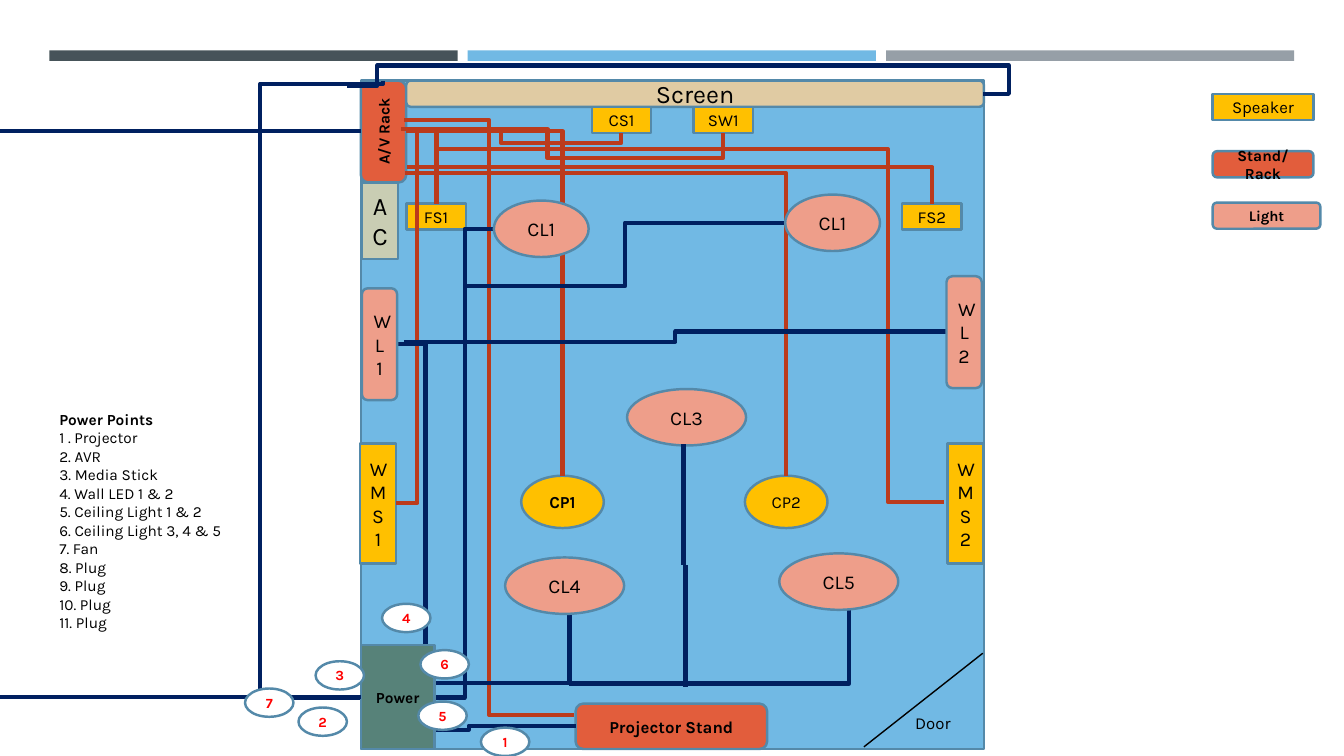
from lxml import etree
from pptx import Presentation
from pptx.dml.color import RGBColor
from pptx.enum.shapes import MSO_CONNECTOR as LINK, MSO_SHAPE as SHAPE
from pptx.enum.text import MSO_ANCHOR as ANCHOR, PP_ALIGN as ALIGN
from pptx.oxml.ns import qn
from pptx.util import Pt

FONT = "Karla"
COLORS = {
    "slate": "465359", "blue": "71B9E4", "gray": "969FA7", "edge": "5489A9",
    "stand": "E25D3C", "speaker": "FFC000", "light": "EE9E8A",
    "screen": "E0CBA3", "cooler": "C9CDB3", "power": "578279",
    "signal": "BB3B1C", "mains": "002060",
    "black": "000000", "white": "FFFFFF", "red": "FF0000",
}
POWER_POINTS = [
    "1 . Projector", "2. AVR", "3. Media Stick", "4. Wall LED 1 & 2",
    "5. Ceiling Light 1 & 2", "6. Ceiling Light 3, 4 & 5", "7. Fan",
    "8. Plug", "9. Plug", "10. Plug", "11. Plug",
]
SPEAKER_SIZE = (42.5, 18.7)
WALL_SPEAKER_SIZE = (25.9, 85.7)
CEILING_SPEAKER_SIZE = (59, 37.4)
SMALL_LIGHT_SIZE = (67.7, 40.3)
LARGE_LIGHT_SIZE = (85, 40.3)
WALL_LIGHT_SIZE = (25.2, 79.9)
BADGE_SIZE = (34.6, 20.2)

SPEAKERS = [
    ("FS1", SHAPE.RECTANGLE, (32.4, 87.8), SPEAKER_SIZE, 12, False),
    ("FS2", SHAPE.RECTANGLE, (386.6, 87.8), SPEAKER_SIZE, 12, False),
    ("WMS1", SHAPE.RECTANGLE, (-0.7, 259.2), WALL_SPEAKER_SIZE, 14, False),
    ("CP1", SHAPE.OVAL, (114.5, 282.2), CEILING_SPEAKER_SIZE, 12, True),
    ("CP2", SHAPE.OVAL, (274.3, 282.2), CEILING_SPEAKER_SIZE, 12, False),
    ("WMS2", SHAPE.RECTANGLE, (419, 259.2), WALL_SPEAKER_SIZE, 14, False),
    ("SW1", SHAPE.RECTANGLE, (237.6, 18.7), SPEAKER_SIZE, 12, False),
    ("CS1", SHAPE.RECTANGLE, (164.9, 18.7), SPEAKER_SIZE, 12, False),
]
LIGHTS = [
    ("CL1", SHAPE.OVAL, (95, 85.7), SMALL_LIGHT_SIZE),
    ("WL1", SHAPE.ROUNDED_RECTANGLE, (0.7, 148.3), WALL_LIGHT_SIZE),
    ("WL2", SHAPE.ROUNDED_RECTANGLE, (418.3, 139.7), WALL_LIGHT_SIZE),
    ("CL4", SHAPE.OVAL, (103, 340.6), LARGE_LIGHT_SIZE),
    ("CL5", SHAPE.OVAL, (298.8, 337.7), LARGE_LIGHT_SIZE),
    ("CL1", SHAPE.OVAL, (303.1, 81.4), SMALL_LIGHT_SIZE),
    ("CL3", SHAPE.OVAL, (190.1, 220.3), LARGE_LIGHT_SIZE),
]
BADGES = [(85.7, 462.2), (-44.6, 447.8), (-32.4, 414.7), (15.1, 373.7),
          (41, 443.5), (42.5, 406.8), (-82.8, 434.2)]

SIGNAL_WIRES = [
    ((31, 28.1), [91.4], (151.9, 452.9)),
    ((35.3, 34.6), [100.1, 44.6], (185.8, 37.4)),
    ((28.8, 34.6), [133.2, 55.4], (258.5, 37.4)),
    ((32.4, 36), [], (54, 87.8)),
    ((33.1, 61.9), [], (408.2, 87.8)),
    ((32.4, 36), [], (144, 282.2)),
    ((31.7, 66.2), [], (303.8, 282.2)),
    ((25.2, 301.7), [], (40.3, 37.4)),
    ((52.6, 49), [376.6], (416.2, 301)),
]
MAINS_WIRES = [
    ((0, 463.7), [77], (153.4, 460.8)),
    ((25.9, 187.9), [], (46.1, 404.6)),
    ((31, 186.5), [224.6], (418.3, 179.3)),
    ((53.3, 430.6), [], (149, 370.1)),
    ((148.3, 430.6), [], (348.8, 367.2)),
    ((52.6, 440.6), [74.2], (95, 105.8)),
    ((73.4, 146.9), [188.6], (303.1, 101.5)),
    ((0, 440.6), [-72, 2.2], (15.8, 0)),
    ((-10.1, 3.6), [11.5, -10.8, 463], (444.2, 9.4)),
]


def rgb(name):
    return RGBColor.from_string(COLORS[name])


def add_text(para, text, size, color="black", bold=False):
    run = para.add_run()
    run.text = text
    run.font.name = FONT
    run.font.size = Pt(size)
    run.font.bold = bold
    run.font.color.rgb = rgb(color)


def add_block(page, kind, box, fill, text="", size=12, bold=False, color="black", edge="edge"):
    block = page.shapes.add_shape(kind, *[Pt(value) for value in box])
    block.shadow.inherit = False
    block.fill.solid()
    block.fill.fore_color.rgb = rgb(fill)
    if edge:
        block.line.color.rgb = rgb(edge)
        block.line.width = Pt(1.75)
    else:
        block.line.fill.background()
    if text:
        block.text_frame.vertical_anchor = ANCHOR.MIDDLE
        para = block.text_frame.paragraphs[0]
        para.alignment = ALIGN.CENTER
        add_text(para, text, size, color, bold)
    return block


def add_note(page, box, lines, size, heading=False):
    frame = page.shapes.add_textbox(*[Pt(value) for value in box]).text_frame
    frame.word_wrap = True
    for index, line in enumerate(lines):
        para = frame.add_paragraph() if index else frame.paragraphs[0]
        add_text(para, line, size, bold=heading and index == 0)


def add_line(page, kind, start, end, color, width):
    line = page.shapes.add_connector(kind, *[Pt(value) for value in (*start, *end)])
    line.line.color.rgb = rgb(color)
    line.line.width = Pt(width)
    etree.SubElement(line._element.spPr, qn("a:effectLst"))
    return line


def add_wire(page, origin, start, turns, end, color):
    first, last = [(origin[0] + x, origin[1] + y) for x, y in (start, end)]
    wire = add_line(page, LINK.ELBOW, first, last, color, 3)
    geometry = wire._element.spPr.find(qn("a:prstGeom"))
    geometry.set("prst", f"bentConnector{len(turns) + 2}")
    guides = geometry.get_or_add_avLst()
    for index, turn in enumerate(turns):
        axis = index % 2
        share = (turn - start[axis]) / (end[axis] - start[axis])
        guide = etree.SubElement(guides, qn("a:gd"))
        guide.set("name", f"adj{index + 1}")
        guide.set("fmla", f"val {round(share * 100000)}")


def draw_header(page, box):
    left, top, width, height = box
    gap = 7.2
    bar = (width - 2 * gap) / 3
    for index, fill in enumerate(("slate", "blue", "gray")):
        place = (left + index * (bar + gap), top, bar, height)
        add_block(page, SHAPE.RECTANGLE, place, fill, edge=None)


def draw_room(page, box):
    left, top = box[:2]

    def at(x, y):
        return left + x, top + y

    add_block(page, SHAPE.RECTANGLE, box, "blue")
    rack = add_block(page, SHAPE.ROUNDED_RECTANGLE, (*at(-20.2, 20.2), 72.7, 32.4),
                     "stand", "A/V Rack", 11, True)
    rack.rotation = 270
    add_block(page, SHAPE.ROUNDED_RECTANGLE, (*at(153.4, 445), 136.8, 32.4),
              "stand", "Projector Stand", 12, True)
    add_block(page, SHAPE.ROUNDED_RECTANGLE, (*at(32.4, 0), 412.6, 18.7), "screen", "Screen", 18)
    add_line(page, LINK.STRAIGHT, at(359.3, 475.9), at(444.2, 409), "black", 1)
    add_note(page, (*at(388.8, 447.8), 55.4, 21.6), ["Door"], 12)
    for name, kind, place, extent, size, bold in SPEAKERS:
        add_block(page, kind, (*at(*place), *extent), "speaker", name, size, bold)
    add_block(page, SHAPE.RECTANGLE, (*at(0.7, 72.7), 25.9, 54.7), "cooler", "AC", 18)

    for color, wires in (("signal", SIGNAL_WIRES), ("mains", MAINS_WIRES)):
        for start, turns, end in wires:
            add_wire(page, (left, top), start, turns, end, color)
    power = add_block(page, SHAPE.RECTANGLE, (*at(0, 403.2), 52.6, 74.2),
                      "power", "Power", 11, True)
    add_line(page, LINK.STRAIGHT, at(-left, 36), at(0, 36), "mains", 3)
    feed = add_line(page, LINK.STRAIGHT, at(-left, 440.3), at(0, 440.3), "mains", 3)
    feed.end_connect(power, 1)

    for name, kind, place, extent in LIGHTS:
        add_block(page, kind, (*at(*place), *extent), "light", name, 14)
    for x, upper, lower in ((230.4, 259.9, 346.3), (231.8, 346.3, 433.4)):
        add_line(page, LINK.STRAIGHT, at(x, upper), at(x, lower), "mains", 3)
    for number, place in enumerate(BADGES, 1):
        add_block(page, SHAPE.OVAL, (*at(*place), *BADGE_SIZE), "white", str(number), 10, True, "red")


def draw_legend(page, box):
    left, top, width, height = box
    add_block(page, SHAPE.RECTANGLE, (left, top, width - 5, height), "speaker", "Speaker")
    add_block(page, SHAPE.ROUNDED_RECTANGLE, (left, top + 41, width - 5, height),
              "stand", "Stand/Rack", 11, True)
    add_block(page, SHAPE.ROUNDED_RECTANGLE, (left, top + 77.7, width, height),
              "light", "Light", 10.5, True)


def main():
    deck = Presentation()
    deck.slide_width, deck.slide_height = Pt(960), Pt(540)
    page = deck.slides.add_slide(deck.slide_layouts[6])
    draw_header(page, (35.3, 36, 889.2, 7.5))
    draw_room(page, (257.8, 57.6, 445, 477.4))
    draw_legend(page, (866.2, 67, 77, 18.7))
    add_note(page, (35.3, 289.4, 156.2, 180.7), ["Power Points", *POWER_POINTS], 11, True)
    deck.save("out.pptx")


if __name__ == "__main__":
    main()
